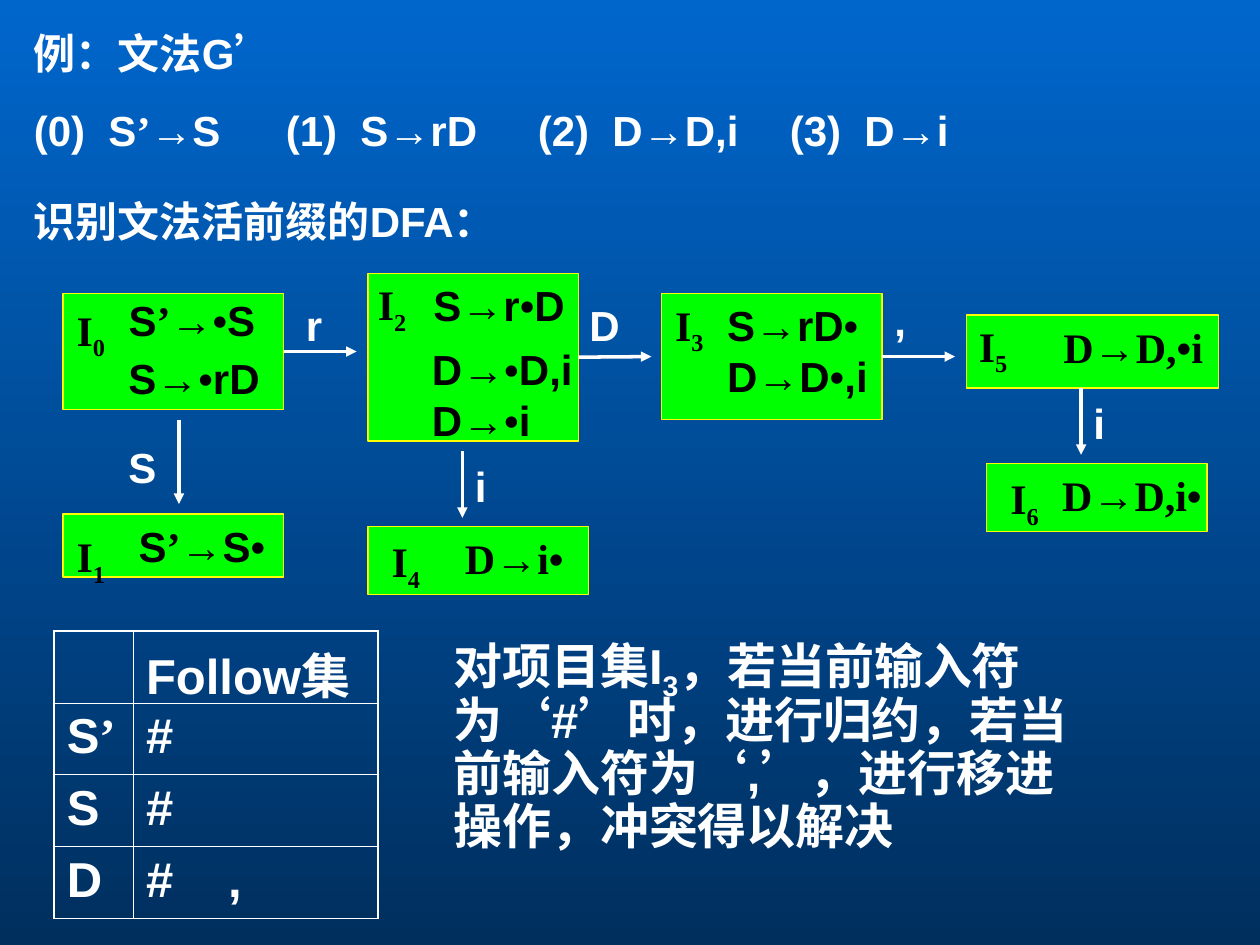
import itertools

import pptx
import pptx.dml.color
import pptx.enum.shapes
import pptx.enum.text
import pptx.oxml.ns
import pptx.util
from lxml import etree

Inches = pptx.util.Inches
Pt = pptx.util.Pt
qn = pptx.oxml.ns.qn

THEME = {
    "top": "0066CC", "base": "002F5E", "ink": "FFFFFF", "dark": "000000",
    "node": "00FF00", "edge": "FFFF00",
    "sans": "Arial", "serif": "Times New Roman", "body": 24, "big": 28,
}
SERIF_MARKS = "’‘•"

HEAD = ["例：文法G’", "(0)  S’→S\t(1)  S→rD\t(2)  D→D,i\t(3)  D→i"]
DFA = ["识别文法活前缀的DFA："]
NOTE = ["对项目集I_3，若当前输入符为‘#’时，进行归约，若当前输入符为‘,’，进行移进操作，冲突得以解决"]

NODES = [
    ("I_0", (0.5, 2.33, 1.75, 0.92), (0.51, 2.37), 0.52, "sans", 0.9, ["S’→•S"]),
    ("I_1", (0.5, 4.08, 1.75, 0.5), (0.51, 4.17), 0.6, "sans", 1, ["S’→S•"]),
    ("I_2", (2.92, 2.17, 1.67, 1.33), (2.9, 2.17), 0.52, "sans", 1, ["S→r•D"]),
    ("I_3", (5.25, 2.33, 1.75, 1), (5.26, 2.33), 0.52, "sans", 1, ["S→rD•", "D→D•,i"]),
    ("I_4", (2.92, 4.18, 1.75, 0.54), (3.01, 4.21), 0.77, "serif", 1, ["D→i•"]),
    ("I_5", (7.67, 2.5, 2, 0.58), (7.67, 2.5), 0.77, "serif", 1, ["D→D,•i"]),
    ("I_6", (7.83, 3.68, 1.75, 0.54), (7.92, 3.71), 0.6, "serif", 1, ["D→D,i•"]),
]
ITEMS = [
    ("S→•rD", (0.92, 2.75, 1.33, 0.5)),
    ("D→•D,i D→•i", (3.33, 2.68, 1.33, 0.9)),
]
ARROWS = [
    ("I_0", (2.25, 2.79), (2.83, 2.79)),
    ("I_2", (4.58, 2.83), (5.17, 2.83)),
    ("I_3", (7, 2.83), (7.58, 2.83)),
    (None, (1.42, 3.33), (1.42, 4)),
    (None, (3.67, 3.58), (3.67, 4.11)),
    (None, (8.58, 3.08), (8.58, 3.61)),
]
LABELS = [
    ("r", 2.33, 2.37), ("S", 0.92, 3.5), ("D", 4.58, 2.37),
    (",", 7, 2.33), ("i", 3.67, 3.65), ("i", 8.58, 3.15),
]
FOLLOW = [("", "Follow集"), ("S’", "#"), ("S", "#"), ("D", "#\t,")]
COLS = [0.63, 1.94]
ROW = 0.57


def rgb(name):
    return pptx.dml.color.RGBColor.from_string(THEME[name])


def write(frame, lines, size="body", color="ink", font="sans", line=1, gap=0, tabs=()):
    for pos, words in enumerate(lines):
        para = frame.paragraphs[0] if pos == 0 else frame.add_paragraph()
        para.alignment = pptx.enum.text.PP_ALIGN.LEFT
        para.line_spacing = line
        if pos and gap:
            para.space_before = Pt(gap)
        if tabs:
            stops = etree.SubElement(para._p.get_or_add_pPr(), qn("a:tabLst"))
            for stop in tabs:
                etree.SubElement(stops, qn("a:tab"), pos=str(Inches(stop)), algn="l")
        for part, piece in enumerate(words.split("_")):
            low = piece[:1] if part else ""
            chunks = [(low, True)] if low else []
            rest = itertools.groupby(piece[len(low):], lambda c: c in SERIF_MARKS)
            chunks += [("".join(group), False) for _, group in rest]
            for chunk, sub in chunks:
                run = para.add_run()
                run.text = chunk
                run.font.size = Pt(THEME[size])
                run.font.bold = True
                run.font.color.rgb = rgb(color)
                run.font.name = THEME["serif" if chunk[0] in SERIF_MARKS else font]
                if sub:
                    run.font._element.set("baseline", "-25000")


def add_text(slide, box, lines, wrap=True, **form):
    frame = slide.shapes.add_textbox(*map(Inches, box)).text_frame
    frame.word_wrap = wrap
    frame.auto_size = pptx.enum.text.MSO_AUTO_SIZE.SHAPE_TO_FIT_TEXT
    write(frame, lines, **form)


def add_node(slide, box, inset, lines, **form):
    kind = pptx.enum.shapes.MSO_SHAPE.RECTANGLE
    node = slide.shapes.add_shape(kind, *map(Inches, box))
    node.shadow.inherit = False
    node.fill.solid()
    node.fill.fore_color.rgb = rgb("node")
    node.line.color.rgb = rgb("edge")
    node.line.width = Pt(0.75)
    frame = node.text_frame
    frame.word_wrap = False
    frame.vertical_anchor = pptx.enum.text.MSO_ANCHOR.TOP
    frame.margin_left = Inches(inset)
    frame.margin_right = 0
    write(frame, lines, color="dark", **form)
    return node


def add_arrow(slide, start, end, node):
    kind = pptx.enum.shapes.MSO_CONNECTOR.STRAIGHT
    arrow = slide.shapes.add_connector(kind, *map(Inches, start + end))
    if node is not None:
        arrow.begin_connect(node, 3)
    arrow.line.color.rgb = rgb("ink")
    arrow.line.width = Pt(2)
    etree.SubElement(arrow.line._get_or_add_ln(), qn("a:tailEnd"), type="triangle")
    etree.SubElement(arrow._element.spPr, qn("a:effectLst"))


def set_edges(cell, outer):
    props = cell._tc.get_or_add_tcPr()
    for pos, side in enumerate("LRTB"):
        width = Pt(1.08 if side in outer else 0.45)
        edge = etree.Element(qn("a:ln" + side), w=str(width))
        fill = etree.SubElement(edge, qn("a:solidFill"))
        etree.SubElement(fill, qn("a:srgbClr"), val=THEME["ink"])
        props.insert(pos, edge)


def add_follow(slide):
    count = len(FOLLOW)
    size = (0.43, 5.01, sum(COLS), ROW * count)
    table = slide.shapes.add_table(count, len(COLS), *map(Inches, size)).table
    table.first_row = False
    table.horz_banding = False
    for col, width in zip(table.columns, COLS):
        col.width = Inches(width)
    for r, row in enumerate(FOLLOW):
        table.rows[r].height = Inches(ROW)
        for c, words in enumerate(row):
            cell = table.cell(r, c)
            cell.fill.background()
            outer = "LR"[c] + ("T" if r == 0 else "") + ("B" if r == count - 1 else "")
            set_edges(cell, outer)
            tabs = [0.65] if "\t" in words else ()
            if words:
                write(cell.text_frame, [words], size="big", tabs=tabs)


def main():
    deck = pptx.Presentation()
    deck.slide_width, deck.slide_height = Inches(10), Inches(7.5)
    slide = deck.slides.add_slide(deck.slide_layouts[6])
    back = slide.background.fill
    back.gradient()
    back.gradient_angle = 270
    for stop, name, place in zip(back.gradient_stops, ("top", "base"), (0, 1)):
        stop.color.rgb = rgb(name)
        stop.position = place

    add_text(slide, (0.17, 0.17, 9.58, 1.11), HEAD, gap=15, tabs=(2, 4, 6))
    add_text(slide, (0.17, 1.5, 9.5, 0.5), DFA)
    nodes = {}
    for name, box, _, inset, font, line, lines in NODES:
        nodes[name] = add_node(slide, box, inset, lines, font=font, line=line)
    for name, _, spot, *_ in NODES:
        add_text(slide, spot + (0.43, 0.51), [name], wrap=False,
                 color="dark", font="serif", line=0.9)
    for words, box in ITEMS:
        add_text(slide, box, [words], color="dark")
    for name, start, end in ARROWS:
        add_arrow(slide, start, end, nodes.get(name))
    for words, left, top in LABELS:
        add_text(slide, (left, top, 0.5, 0.46), [words], line=0.9)
    add_follow(slide)
    add_text(slide, (3.5, 5, 5.33, 1.84), NOTE, size="big", line=0.9)
    deck.save("out.pptx")


if __name__ == "__main__":
    main()
